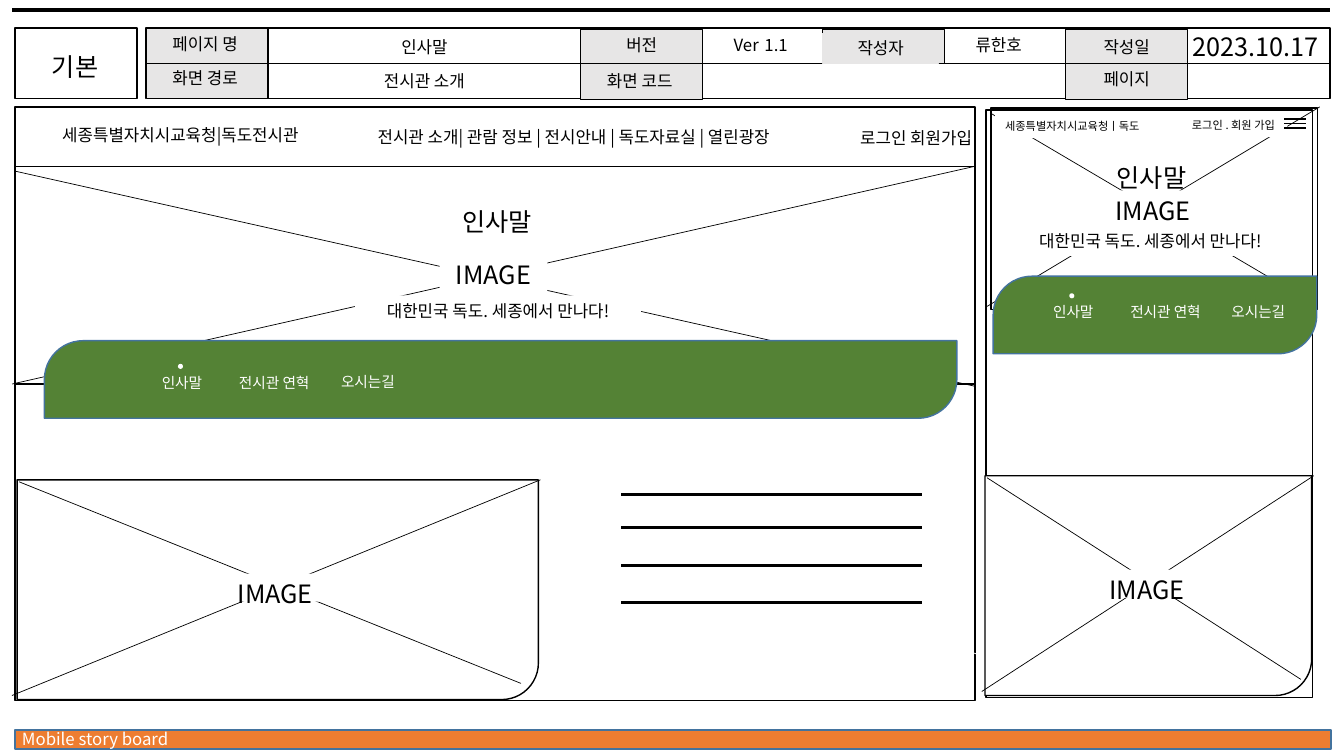
from lxml.etree import SubElement
from pptx import Presentation
from pptx.dml.color import RGBColor
from pptx.enum.shapes import MSO_CONNECTOR, MSO_SHAPE
from pptx.enum.text import MSO_ANCHOR, MSO_AUTO_SIZE, PP_ALIGN
from pptx.oxml.ns import qn
from pptx.util import Inches, Pt

FONT = "Noto Sans CJK KR"
WIDE, HIGH = Inches(13.33), Inches(7.5)
CELL = HIGH / 75
HUES = {
    "ink": "000000",
    "paper": "FFFFFF",
    "gray": "E7E6E6",
    "green": "548235",
    "orange": "ED7D31",
    "blue": "43739E",
}
FRAME = {
    "word_wrap": True,
    "auto_size": MSO_AUTO_SIZE.SHAPE_TO_FIT_TEXT,
    "vertical_anchor": MSO_ANCHOR.TOP,
}
LEFT, MID, RIGHT = PP_ALIGN.LEFT, PP_ALIGN.CENTER, PP_ALIGN.RIGHT
SLOGAN = "대한민국 독도. 세종에서 만나다!"
TABS = ["인사말", "전시관 연혁", "오시는길"]


def grid(*cells):
    return [round(n * CELL) for n in cells]


def tint(name):
    return RGBColor.from_string(HUES[name])


def put(item, values):
    for key, value in values.items():
        setattr(item, key, value)


def paint(shape, fill=None, edge=None, width=1):
    if fill:
        shape.fill.solid()
        shape.fill.fore_color.rgb = tint(fill)
    else:
        shape.fill.background()
    if edge:
        shape.line.color.rgb = tint(edge)
        shape.line.width = Pt(width)
    else:
        shape.line.fill.background()


def box(area, place, fill=None, edge="ink", kind=MSO_SHAPE.RECTANGLE):
    shape = area.add_shape(kind, *grid(*place))
    shape.shadow.inherit = False
    paint(shape, fill, edge)
    return shape


def rule(area, start, end, width=0.5, hue="ink"):
    line = area.add_connector(MSO_CONNECTOR.STRAIGHT, *grid(*start, *end))
    line.line.color.rgb = tint(hue)
    line.line.width = Pt(width)
    SubElement(line._element.spPr, qn("a:effectLst"))
    return line


def write(shape, text, size=12, hue="ink", align=MID):
    put(shape.text_frame, FRAME)
    line = shape.text_frame.paragraphs[0]
    line.alignment = align
    parts = [(text, size)] if isinstance(text, str) else text
    for words, points in parts:
        run = line.add_run()
        run.text = words
        put(run.font, {"name": FONT, "size": Pt(points)})
        run.font.color.rgb = tint(hue)
        SubElement(run._r.get_or_add_rPr(), qn("a:ea"), typeface=FONT)


def label(area, text, place, size=12, hue="ink", align=MID, fill=None, edge=None):
    shape = area.add_textbox(*grid(*place))
    paint(shape, fill, edge, 0.75)
    write(shape, text, size, hue, align)


def photo(slide, x, y, w, h):
    area = slide.shapes.add_group_shape().shapes
    card = box(area, (x, y, w, h), "paper", kind=MSO_SHAPE.ROUND_1_RECTANGLE)
    card.rotation = 180
    card._element.spPr.xfrm.set("flipH", "1")
    rule(area, (x - w / 100, y + h - 0.4), (x + w + 0.2, y))
    rule(area, (x + w - w / 30, y + h - 1.6), (x + 0.2, y + 0.2))
    label(area, "IMAGE", (x + w * 0.33, y + 9.3, w * 0.33, 2.8), 18, fill="paper")


def hero(area, image, name, slogan):
    label(area, "IMAGE", (*image, 10.7, 4), 18, fill="paper")
    label(area, "인사말", (*name, 18.2, 4), 18)
    label(area, SLOGAN, (*slogan, 28.4, 3), fill="paper")


def menu(area, place, row, cols):
    bar = box(area, place, "green", "blue", MSO_SHAPE.ROUND_2_DIAG_RECTANGLE)
    bar.adjustments[0], bar.adjustments[1] = 0.5, 0
    for text, x, w, lift in zip(TABS, cols, (9.5, 11.8, 11.8), (0, 0, 0.1)):
        label(area, text, (x, row - lift, w, 2.9), 10.5, "paper")
    box(area, (cols[0] + 4.35, row - 0.5, 0.5, 0.5), "paper", None, MSO_SHAPE.OVAL)


def header(slide):
    area = slide.shapes
    rule(area, (1.2, 1), (131.9, 1), 3)
    box(area, (1.5, 2.8, 12.1, 7))
    label(area, "기본", (1.7, 4.6, 11.5, 4.2), 18)
    strip = box(area, (14.5, 2.8, 117.4, 7))
    for x, y, h in [(14.5, 2.8, 7), (57.6, 2.9, 7), (81.6, 2.9, 3.4), (105.7, 2.9, 7)]:
        box(area, (x, y, 12.1, h), "gray")
    split = rule(area, (14.5, 6.3), (131.9, 6.3))
    split.begin_connect(strip, 1)
    split.end_connect(strip, 3)
    heads = [
        ("페이지 명", 14.6, 2.9),
        ("화면 경로", 14.6, 6.2),
        ("버전", 57.9, 3),
        ("화면 코드", 57.7, 6.5),
        ("작성일", 106, 3.2),
        ("페이지", 106, 6.3),
    ]
    for text, x, y in heads:
        label(area, text, (x, y, 11.5, 3))
    label(area, "작성자", (81.6, 3.3, 11.5, 3), edge="gray")
    label(area, "류한호", (89, 3, 20.1, 3))
    label(area, "2023.10.17", (114.5, 2.6, 20.1, 4), 18)
    label(area, [("Ver", 12), (" ", 18), ("1.1", 12)], (65.4, 2.1, 20.1, 4))
    label(area, "전시관 소개", (30.6, 6.5, 23, 3))
    title = area.title
    put(title, dict(zip(("left", "top", "width", "height"), grid(30.6, 3.1, 23, 3))))
    write(title, "인사말")


def desktop(slide):
    area = slide.shapes
    box(area, (1.5, 10.6, 95.2, 58.9))
    box(area, (1.5, 16.5, 95.2, 21.6))
    label(area, "세종특별자치시교육청|독도전시관", (2.6, 11.9, 30.6, 3))
    label(area, "전시관 소개| 관람 정보 | 전시안내 | 독도자료실 | 열린광장", (33.7, 12.1, 46.4, 3))
    label(area, "로그인 회원가입", (58.3, 12.2, 39.1, 3), align=RIGHT)
    rule(area, (5.3, 31.5), (96.9, 64.9), hue="paper")
    rule(area, (1.2, 38.1), (96.7, 16.5))
    rule(area, (1.6, 17), (96.6, 38.3))
    hero(area, (43.6, 25.2), (40.2, 20), (35.2, 29.3))
    menu(area, (4.4, 33.8, 90.5, 7.7), 36.6, (13.3, 21.3, 30.6))
    photo(slide, 1.7, 47.6, 51.7, 21.8)
    for y in (49.1, 52.3, 56.1, 59.8):
        rule(area, (61.6, y), (91.4, y), 2.25)


def mobile(slide):
    area = slide.shapes
    box(area, (98.3, 10.7, 32.4, 20), "paper")
    box(area, (97.8, 10.9, 32.4, 58.3))
    rule(area, (97.9, 30.4), (130.9, 10.6))
    rule(area, (130.6, 30.3), (98.2, 11.2))
    label(area, "세종특별자치시교육청ㅣ독도", (98.7, 11.3, 18.7, 2.4), 8, align=LEFT, fill="paper")
    label(area, "로그인 . 회원 가입 ", (115.3, 11.2, 12.4, 2.4), 8, align=RIGHT, fill="paper")
    for step in range(3):
        y = 11.8 + step * 0.45
        rule(area, (127.4, y), (129.5, y), 1)
    hero(area, (109, 18.9), (105.1, 15.6), (99.9, 22.4))
    menu(area, (98.5, 27.4, 32.1, 7.7), 29.6, (101.7, 109.7, 118.9))
    photo(slide, 97.7, 47.2, 32.4, 21.8)


def footer(slide):
    box(slide.shapes, (1.5, 72.4, 130.5, 1.9), "orange", "blue")
    label(slide.shapes, "Mobile story board", (1.2, 71.8, 32, 3), hue="paper", align=LEFT)


def main():
    deck = Presentation()
    put(deck, {"slide_width": WIDE, "slide_height": HIGH})
    slide = deck.slides.add_slide(deck.slide_layouts[5])
    for draw in (header, desktop, mobile, footer):
        draw(slide)
    deck.save("out.pptx")


if __name__ == "__main__":
    main()
